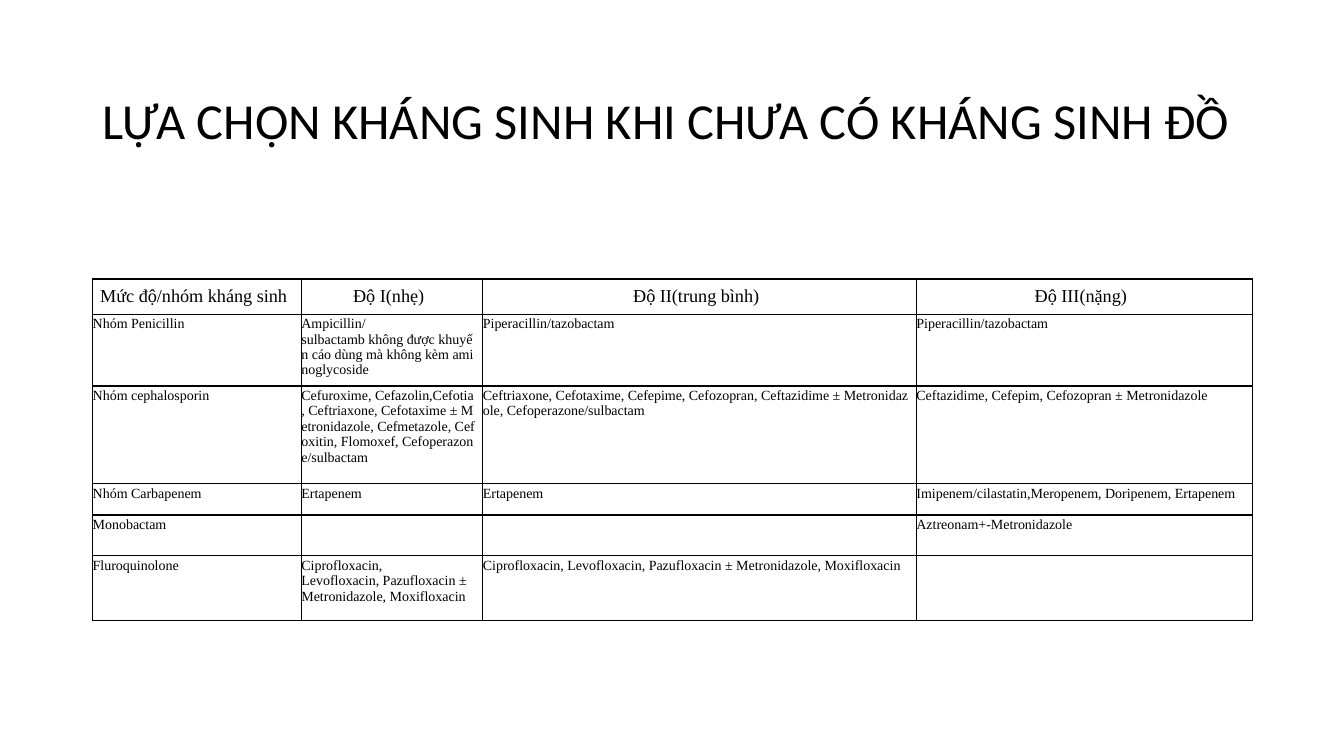
import pptx
import pptx.util
import pptx.dml.color
import pptx.enum.text
import pptx.oxml.ns
import lxml.etree

WIDE, HIGH = 13.33, 7.5
LEFT, SPAN = 0.069 * WIDE, 11.5
COLS = [2.07, 1.8, 4.3, 3.33]
ROWS = [0.35, 0.64, 0.97, 0.31, 0.31, 0.64]
HUES = {"ink": "000000", "paper": "FFFFFF"}
ALIGN = pptx.enum.text.PP_ALIGN
ANCHOR = pptx.enum.text.MSO_ANCHOR
TITLE = "LỰA CHỌN KHÁNG SINH KHI CHƯA CÓ KHÁNG SINH ĐỒ"
DRUGS = [
    ["Mức độ/nhóm kháng sinh", "Độ I(nhẹ)", "Độ II(trung bình)", "Độ III(nặng)"],
    ["Nhóm Penicillin",
     "Ampicillin/sulbactamb không được khuyến cáo dùng mà không kèm aminoglycoside",
     "Piperacillin/tazobactam", "Piperacillin/tazobactam"],
    ["Nhóm cephalosporin",
     "Cefuroxime, Cefazolin,Cefotia, Ceftriaxone, Cefotaxime ± Metronidazole, "
     "Cefmetazole, Cefoxitin, Flomoxef, Cefoperazone/sulbactam",
     "Ceftriaxone, Cefotaxime, Cefepime, Cefozopran, Ceftazidime ± Metronidazole, "
     "Cefoperazone/sulbactam",
     "Ceftazidime, Cefepim, Cefozopran ± Metronidazole"],
    ["Nhóm Carbapenem", "Ertapenem", "Ertapenem",
     "Imipenem/cilastatin,Meropenem, Doripenem, Ertapenem"],
    ["Monobactam", "", "", "Aztreonam+-Metronidazole"],
    ["Fluroquinolone",
     "Ciprofloxacin,_Levofloxacin, Pazufloxacin ±_Metronidazole, Moxifloxacin",
     "Ciprofloxacin, Levofloxacin, Pazufloxacin ±_Metronidazole, Moxifloxacin", ""],
]


def inch(size):
    """Return a length in inches."""
    return pptx.util.Inches(size)


def tint(name):
    """Return a named colour."""
    return pptx.dml.color.RGBColor.from_string(HUES[name])


def fix(text):
    """Make spaces non-breaking and underscores plain spaces."""
    return text.replace(" ", chr(160)).replace("_", " ")


def write(frame, text, font="Times New Roman", size=10, align=ALIGN.LEFT, lead=None):
    """Put one formatted paragraph in a text frame."""
    para = frame.paragraphs[0]
    para.alignment = align
    para.line_spacing = lead
    run = para.add_run()
    run.text = text
    run.font.name = font
    run.font.size = pptx.util.Pt(size)
    run.font.bold = False
    run.font.color.rgb = tint("ink")


def edge(cell):
    """Draw a thin line on each side of a cell."""
    props = cell._tc.get_or_add_tcPr()
    name = pptx.oxml.ns.qn
    for side in ("a:lnL", "a:lnR", "a:lnT", "a:lnB"):
        line = lxml.etree.SubElement(props, name(side), w=str(pptx.util.Pt(1)))
        fill = lxml.etree.SubElement(line, name("a:solidFill"))
        lxml.etree.SubElement(fill, name("a:srgbClr"), val=HUES["ink"])


def style(cell, head):
    """Set the lines, fill, margins and anchor of a cell."""
    edge(cell)
    cell.fill.solid()
    cell.fill.fore_color.rgb = tint("paper")
    cell.margin_left, cell.margin_right = inch(0), inch(0.07)
    cell.margin_top, cell.margin_bottom = inch(0.02), inch(0.08)
    cell.vertical_anchor = ANCHOR.BOTTOM if head else ANCHOR.TOP


def head(slide):
    """Place the title."""
    title = slide.shapes.title
    title.left, title.top = inch(LEFT), inch(0.081 * HIGH)
    title.width, title.height = inch(SPAN), inch(0.165 * HIGH)
    frame = title.text_frame
    frame.word_wrap = True
    frame.auto_size = pptx.enum.text.MSO_AUTO_SIZE.NONE
    frame.vertical_anchor = ANCHOR.MIDDLE
    write(frame, TITLE, font="Calibri", size=36, lead=0.9)


def grid(slide):
    """Build the table of drugs."""
    table = slide.shapes.add_table(
        len(ROWS), len(COLS), inch(LEFT), inch(0.369 * HIGH),
        inch(SPAN), inch(sum(ROWS))).table
    table.first_row = table.horz_banding = False
    for col, size in zip(table.columns, COLS):
        col.width = inch(size)
    for row, size in zip(table.rows, ROWS):
        row.height = inch(size)
    for r, texts in enumerate(DRUGS):
        for c, text in enumerate(texts):
            cell = table.cell(r, c)
            style(cell, r == 0)
            if text:
                look = {"size": 13, "align": ALIGN.CENTER} if r == 0 else {}
                write(cell.text_frame, fix(text), **look)


def main():
    """Build and save the slide."""
    deck = pptx.Presentation()
    deck.slide_width, deck.slide_height = inch(WIDE), inch(HIGH)
    slide = deck.slides.add_slide(deck.slide_layouts[5])
    head(slide)
    grid(slide)
    deck.save("out.pptx")


if __name__ == "__main__":
    main()
